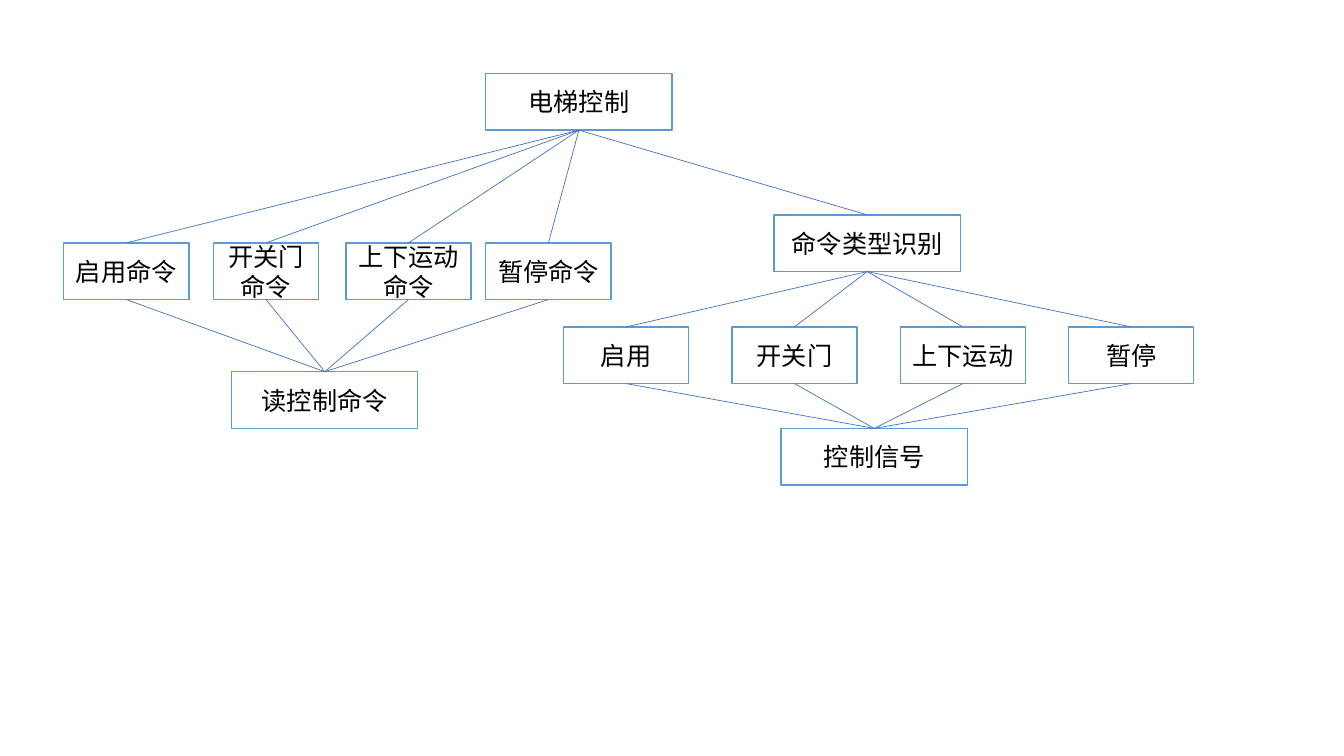
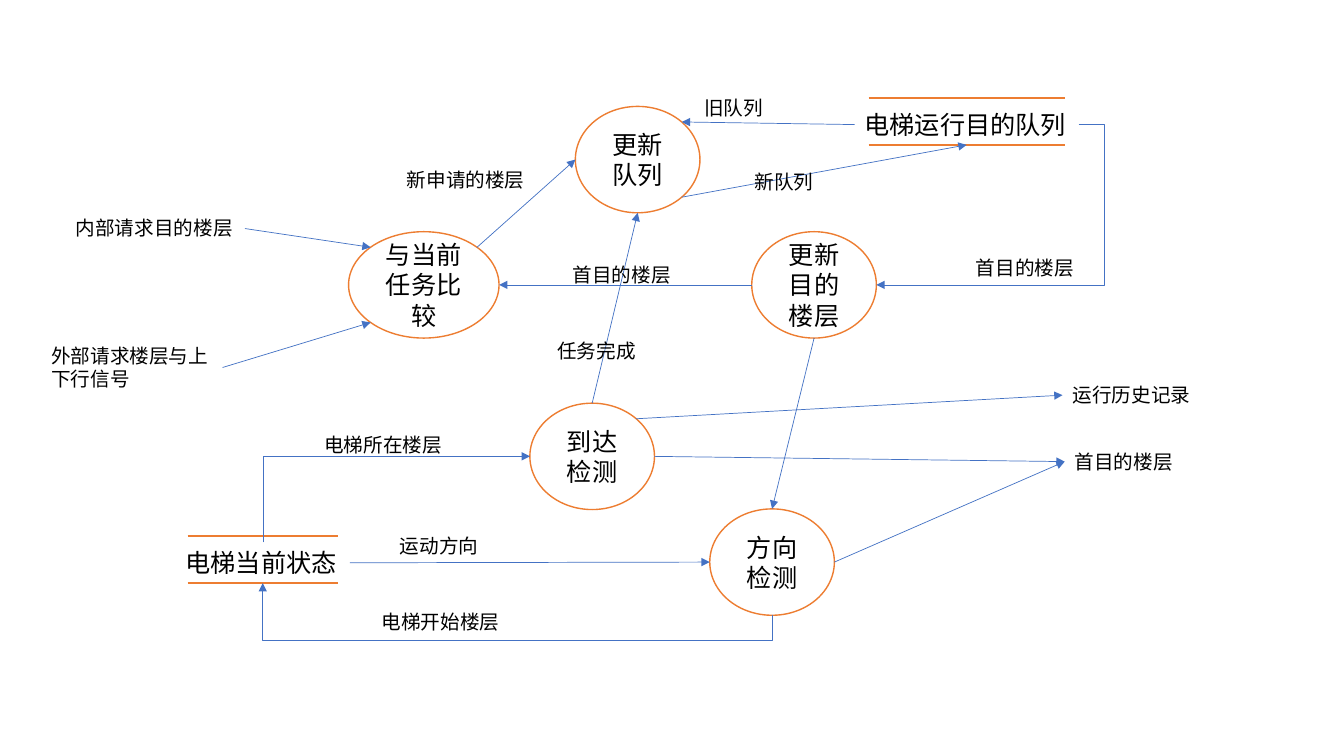
import math

from lxml import etree
from pptx import Presentation
from pptx.dml.color import RGBColor
from pptx.enum.shapes import MSO_CONNECTOR, MSO_SHAPE, MSO_SHAPE_TYPE
from pptx.enum.text import MSO_ANCHOR, MSO_AUTO_SIZE, PP_ALIGN
from pptx.oxml.ns import qn
from pptx.util import Pt

RECTANGLE, OVAL = MSO_SHAPE.RECTANGLE, MSO_SHAPE.OVAL
STRAIGHT, ELBOW = MSO_CONNECTOR.STRAIGHT, MSO_CONNECTOR.ELBOW
TEXT_BOX = MSO_SHAPE_TYPE.TEXT_BOX
MIDDLE, CENTER = MSO_ANCHOR.MIDDLE, PP_ALIGN.CENTER
FIT_SHAPE = MSO_AUTO_SIZE.SHAPE_TO_FIT_TEXT

# Shared style
FONT = "Noto Sans CJK SC"
WHITE, BLACK = "FFFFFF", "000000"
BOX_BLUE, LINK_BLUE, ORANGE = "5B9BD5", "4472C4", "ED7D31"
NODE_SIZE, LABEL_SIZE = 18, 14
BOX_HEIGHT, WIDE, NARROW = 40.5, 133, 89.5
OVAL_WIDTH, OVAL_HEIGHT = 89, 76
BEND = 18  # how far an elbow runs past its start

DIAGONAL = math.sqrt(0.5)
SIDES = {
    "top": (0, -1), "left": (-1, 0), "bottom": (0, 1), "right": (1, 0),
    "top left": (-DIAGONAL, -DIAGONAL), "top right": (DIAGONAL, -DIAGONAL),
    "bottom left": (-DIAGONAL, DIAGONAL), "bottom right": (DIAGONAL, DIAGONAL),
}
SITES = {"top": 0, "left": 1, "bottom": 2, "right": 3}


def colour(value):
    return RGBColor.from_string(value)


def write(shape, text, size, align=None):
    paragraph = shape.text_frame.paragraphs[0]
    paragraph.alignment = align
    run = paragraph.add_run()
    run.text = text
    for name, value in {"size": Pt(size), "name": FONT}.items():
        setattr(run.font, name, value)
    run.font.color.rgb = colour(BLACK)
    etree.SubElement(run.font._element, qn("a:ea"), typeface=FONT)


# Nodes and labels
def add_node(slide, kind, text, left, top, width, height, outline):
    shape = slide.shapes.add_shape(kind, Pt(left), Pt(top), Pt(width), Pt(height))
    shape.shadow.inherit = False
    shape.fill.solid()
    shape.fill.fore_color.rgb = colour(WHITE)
    shape.line.color.rgb = colour(outline)
    shape.line.width = Pt(1)
    shape.text_frame.vertical_anchor = MIDDLE
    write(shape, text, NODE_SIZE, CENTER)
    return shape


def add_box(slide, text, left, top, width):
    return add_node(slide, RECTANGLE, text, left, top, width, BOX_HEIGHT, BOX_BLUE)


def add_process(slide, text, left, top, width=OVAL_WIDTH):
    return add_node(slide, OVAL, text, left, top, width, OVAL_HEIGHT, ORANGE)


def add_label(slide, text, left, top, width, height=24.5, size=LABEL_SIZE, wrap=False):
    label = slide.shapes.add_textbox(Pt(left), Pt(top), Pt(width), Pt(height))
    for name, value in {"word_wrap": wrap, "auto_size": FIT_SHAPE}.items():
        setattr(label.text_frame, name, value)
    write(label, text, size)
    return label


def add_store(slide, text, left, top, width):
    """Data store: a name between two rules."""
    for rule_top in (top, top + 33.5):
        rule = slide.shapes.add_connector(
            STRAIGHT, Pt(left), Pt(rule_top), Pt(left + width), Pt(rule_top))
        style_line(rule, ORANGE, 1.5)
    inset = 8.5 if width < 120 else 10
    return add_label(slide, text, left - inset, top + 4.5, width + 2 * inset, 29, NODE_SIZE)


# Connectors
def style_line(connector, line_colour, width, arrow=False):
    connector.line.color.rgb = colour(line_colour)
    connector.line.width = Pt(width)
    properties = connector._element.spPr
    if arrow:
        etree.SubElement(properties.find(qn("a:ln")), qn("a:tailEnd"), type="triangle")
    etree.SubElement(properties, qn("a:effectLst"))


def side_point(shape, side):
    across, down = SIDES[side]
    return (int(shape.left + shape.width * (1 + across) / 2),
            int(shape.top + shape.height * (1 + down) / 2))


def is_rectangle(shape):
    return shape.shape_type == TEXT_BOX or shape.auto_shape_type == RECTANGLE


def link(slide, source, source_side, target, target_side, arrow=False):
    connector = slide.shapes.add_connector(
        STRAIGHT, *side_point(source, source_side), *side_point(target, target_side))
    if is_rectangle(source):
        connector.begin_connect(source, SITES[source_side])
    if is_rectangle(target):
        connector.end_connect(target, SITES[target_side])
    style_line(connector, LINK_BLUE, 0.5, arrow)


def link_elbow(slide, source, source_side, target, target_side, corners):
    """One corner, or two with the first leg running BEND past the start."""
    start, end = side_point(source, source_side), side_point(target, target_side)
    vertical = source_side in ("top", "bottom")
    if vertical:
        # The frame lies unturned about the same centre
        middle_x, middle_y = (start[0] + end[0]) // 2, (start[1] + end[1]) // 2
        start, end = [(middle_x + y - middle_y, middle_y - x + middle_x)
                      for x, y in (start, end)]
    connector = slide.shapes.add_connector(ELBOW, *start, *end)
    properties = connector._element.spPr
    if vertical:
        properties.find(qn("a:xfrm")).set("rot", str(90 * 60000))
    geometry = properties.find(qn("a:prstGeom"))
    if corners == 1:
        geometry.set("prst", "bentConnector2")
    else:
        share = round(-100000 * Pt(BEND) / abs(end[0] - start[0]))
        etree.SubElement(geometry.find(qn("a:avLst")), qn("a:gd"),
                         name="adj1", fmla=f"val {share}")
    style_line(connector, LINK_BLUE, 0.5, True)


# Slides
def add_structure_chart(slide):
    control = add_box(slide, "电梯控制", 347, 52.5, WIDE)
    read = add_box(slide, "读控制命令", 165.5, 265.5, WIDE)
    identify = add_box(slide, "命令类型识别", 553, 153.5, WIDE)
    signal = add_box(slide, "控制信号", 558, 306, WIDE)
    commands = [add_box(slide, text, left, 173.5, width) for text, left, width in (
        ("启用命令", 45.5, NARROW), ("开关门命令", 152.5, 75),
        ("上下运动命令", 247, NARROW), ("暂停命令", 347, NARROW))]
    types = [add_box(slide, text, 402.5 + 120.25 * index, 233.5, NARROW)
             for index, text in enumerate(("启用", "开关门", "上下运动", "暂停"))]

    link(slide, control, "bottom", identify, "top")
    for parent, children, result in ((control, commands, read), (identify, types, signal)):
        for child in children:
            link(slide, parent, "bottom", child, "top")
            link(slide, child, "bottom", result, "top")


def add_data_flow(slide):
    # Stores and processes
    state = add_store(slide, "电梯当前状态", 134, 383, 107.5)
    queue = add_store(slide, "电梯运行目的队列", 620.5, 70, 140)
    compare = add_process(slide, "与当前任务比较", 249, 165.5, 107.5)
    arrival = add_process(slide, "到达检测", 378.5, 288, OVAL_WIDTH)
    direction = add_process(slide, "方向检测", 507, 363.5)
    next_floor = add_process(slide, "更新目的楼层", 537, 165.5)
    update = add_process(slide, "更新队列", 411, 76)

    # Inputs and outputs
    inside = add_label(slide, "内部请求目的楼层", 47, 151, 128)
    outside = add_label(slide, "外部请求楼层与上下行信号", 29.5, 242, 129.5, 41, wrap=True)
    target = add_label(slide, "首目的楼层", 760.5, 317.5, 85.5)
    history = add_label(slide, "运行历史记录", 759, 270, 99.5)

    # Flows
    for flow in (
        (inside, "right", compare, "top left"),
        (outside, "right", compare, "bottom left"),
        (compare, "top right", update, "left"),
        (queue, "left", update, "top right"),
        (update, "bottom right", queue, "bottom"),
        (next_floor, "left", compare, "right"),
        (arrival, "top", update, "bottom"),
        (state, "right", direction, "left"),
        (arrival, "right", target, "left"),
        (direction, "right", target, "left"),
        (next_floor, "bottom", direction, "top"),
        (arrival, "top right", history, "left"),
    ):
        link(slide, *flow, arrow=True)
    link_elbow(slide, queue, "right", next_floor, "right", 2)
    link_elbow(slide, state, "top", arrival, "left", 1)
    link_elbow(slide, direction, "bottom", state, "bottom", 2)

    # Flow names
    for text, left, top, width in (
        ("新申请的楼层", 283.5, 116.5, 99.5),
        ("电梯所在楼层", 224.5, 305.5, 99.5),
        ("运动方向", 278.5, 377.5, 71.5),
        ("电梯开始楼层", 265.5, 432, 99.5),
        ("首目的楼层", 402, 184.5, 85.5),
        ("任务完成", 391, 238.5, 71.5),
        ("首目的楼层", 690, 179.5, 85.5),
        ("旧队列", 496, 65, 57),
        ("新队列", 532, 118, 57),
    ):
        add_label(slide, text, left, top, width)


def main():
    presentation = Presentation()
    presentation.slide_width, presentation.slide_height = Pt(960), Pt(540)
    blank = presentation.slide_layouts[6]
    for fill_slide in (add_structure_chart, add_data_flow):
        fill_slide(presentation.slides.add_slide(blank))
    presentation.save("out.pptx")


if __name__ == "__main__":
    main()
